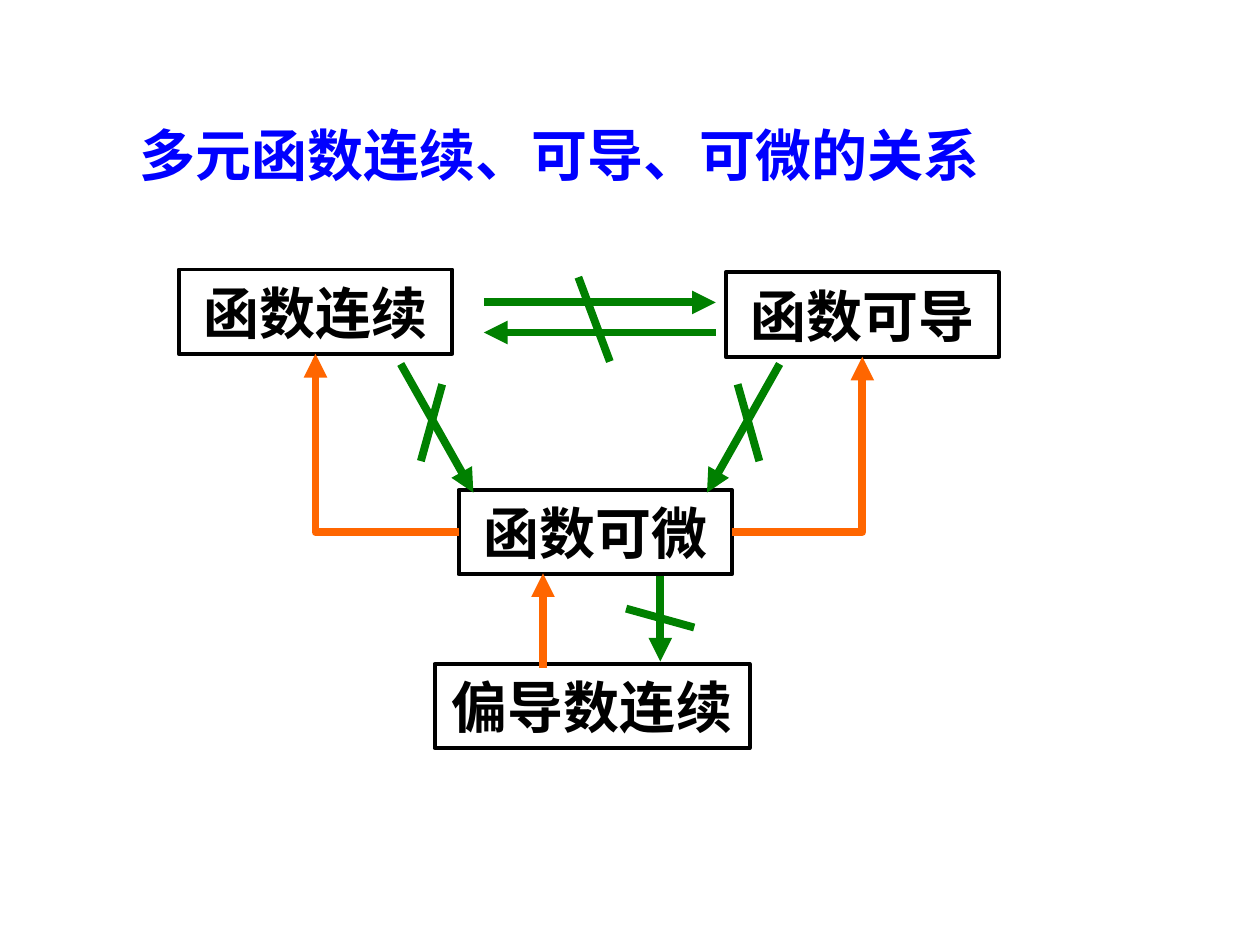
from pptx import Presentation
from pptx.dml.color import RGBColor
from pptx.enum.shapes import MSO_CONNECTOR as LINK, MSO_SHAPE
from pptx.enum.text import MSO_ANCHOR, PP_ALIGN
from pptx.oxml.ns import qn
from pptx.util import Pt
from lxml.etree import SubElement

GREEN, ORANGE = "008000", "FF6600"


def write(frame, words, color):
    frame.text = words
    font = frame.paragraphs[0].font
    font.name, font.size, font.bold = "Times New Roman", Pt(32), True
    font.color.rgb = RGBColor.from_string(color)


def draw_line(kind, ends, color, arrow):
    line = slide.shapes.add_connector(kind, *[Pt(v) for v in ends])
    line.line.width = Pt(4.5)
    line.line.color.rgb = RGBColor.from_string(color)
    properties = line._element.spPr
    if arrow:
        SubElement(properties.find(qn("a:ln")), qn("a:tailEnd"), type="triangle")
    SubElement(properties, qn("a:effectLst"))
    return line


prs = Presentation()
prs.slide_width, prs.slide_height = Pt(720), Pt(540)
slide = prs.slides.add_slide(prs.slide_layouts[6])

title = slide.shapes.add_textbox(Pt(72.7), Pt(65.5), Pt(588), Pt(46))
title.text_frame.word_wrap = True
write(title.text_frame, "多元函数连续、可导、可微的关系", "0000FF")

concepts = {}
for words, left, top, width in [
    ("函数连续", 102.2, 154, 156.2),
    ("函数可导", 414.7, 155.7, 156.2),
    ("函数可微", 262.1, 280, 156.2),
    ("偏导数连续", 248.4, 379.4, 180),
]:
    concept = slide.shapes.add_shape(
        MSO_SHAPE.RECTANGLE, Pt(left), Pt(top), Pt(width), Pt(48.2))
    concept.shadow.inherit = False
    concept.fill.background()
    concept.line.width = Pt(2.25)
    concept.line.color.rgb = RGBColor.from_string("000000")
    frame = concept.text_frame
    frame.word_wrap = False
    frame.vertical_anchor = MSO_ANCHOR.MIDDLE
    write(frame, words, "000000")
    frame.paragraphs[0].alignment = PP_ALIGN.CENTER
    concepts[words] = concept

for ends, color, arrow in [
    ((276.5, 172.8, 409, 172.8), GREEN, True),
    ((409, 190, 276.5, 190), GREEN, True),
    ((330.5, 158.4, 348.5, 206.6), GREEN, False),
    ((229, 208, 270.5, 281.5), GREEN, True),
    ((252.7, 219.6, 240.5, 263.5), GREEN, False),
    ((445.5, 208, 404, 281.5), GREEN, True),
    ((421.5, 219.6, 433.9, 263.5), GREEN, False),
    ((377.3, 329, 377.3, 378), GREEN, True),
    ((357.8, 347.8, 396.7, 358.6), GREEN, False),
    ((310.3, 381.6, 310.3, 327.6), ORANGE, True),
]:
    draw_line(LINK.STRAIGHT, ends, color, arrow)

for target, side, ends in [
    ("函数连续", 1, (262.1, 304.1, 180.3, 202.2)),
    ("函数可导", 3, (418.3, 304.1, 492.8, 203.9)),
]:
    elbow = draw_line(LINK.ELBOW, ends, ORANGE, True)
    elbow._element.spPr.find(qn("a:prstGeom")).set("prst", "bentConnector2")
    elbow.begin_connect(concepts["函数可微"], side)
    elbow.end_connect(concepts[target], 2)

prs.save("out.pptx")
